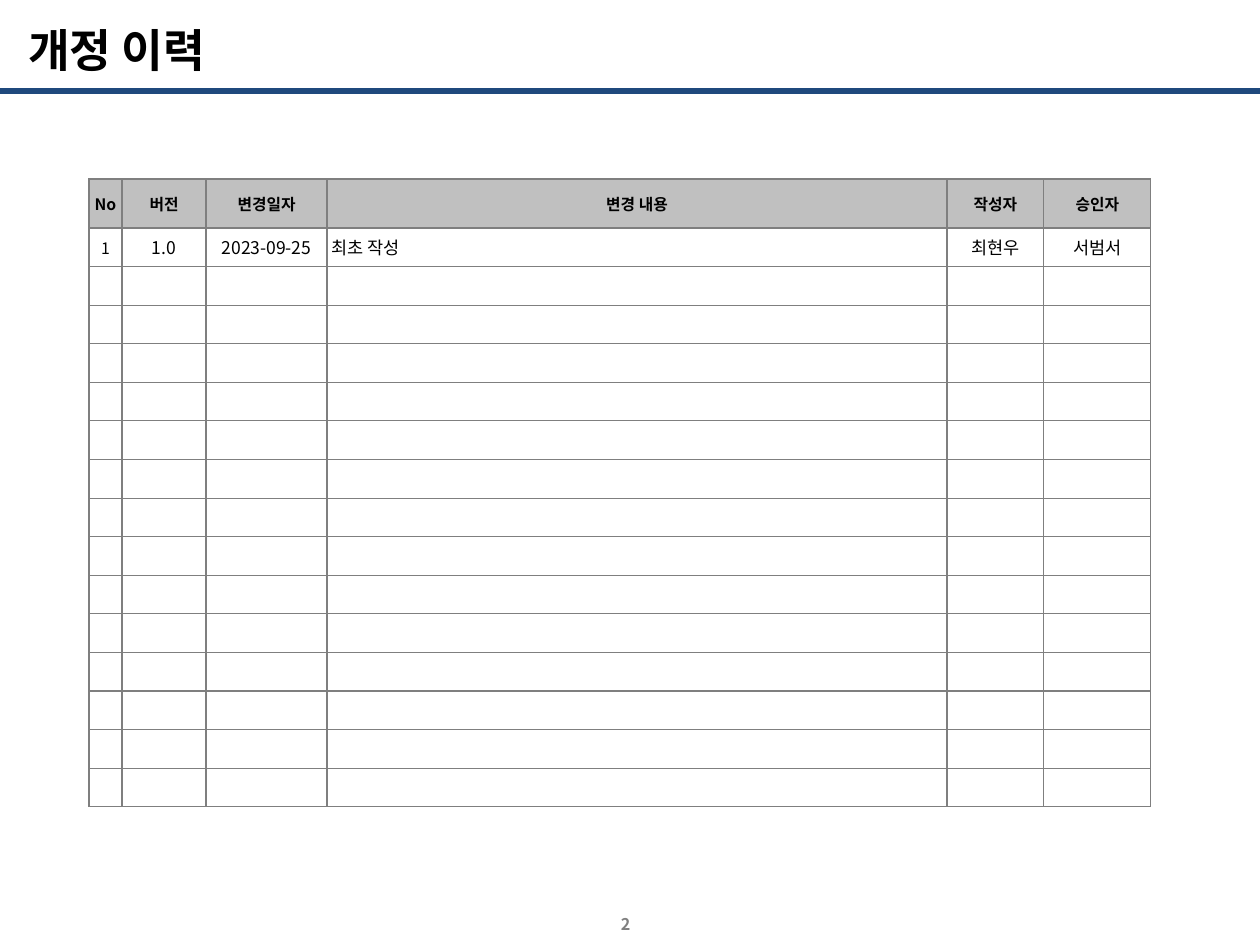
from dataclasses import dataclass

from lxml.etree import SubElement
from pptx import Presentation
from pptx.dml.color import RGBColor
from pptx.enum.text import MSO_ANCHOR as ANCHOR, MSO_AUTO_SIZE as AUTO, PP_ALIGN as ALIGN
from pptx.oxml.ns import qn
from pptx.util import Emu, Pt

TITLE = "개정 이력"
PAGE_NUMBER = "2"
HEADINGS = ["No", "버전", "변경일자", "변경 내용", "작성자", "승인자"]
REVISIONS = [["1", "1.0", "2023-09-25", "최초 작성", "최현우", "서범서"]]
REVISION_ROWS = 15
NUMBER_COLUMN, CHANGE_COLUMN = 0, 3

COLUMN_WIDTHS = [33, 84, 121, 620, 97, 107]
TABLE_LEFT, TABLE_TOP, TABLE_HEIGHT, HEADING_HEIGHT = 89, 179, 628, 49
SLIDE_WIDTH, SLIDE_HEIGHT = 1260, 945
RULE_TOP = 91
CELL_MARGIN = 5


@dataclass(frozen=True)
class Theme:
    font: str = "Noto Sans CJK KR"
    ink: str = "000000"
    rule: str = "1F497D"
    muted: str = "808080"
    heading_fill: str = "C0C0C0"
    border: str = "7F7F7F"
    title_size: float = 25.9
    heading_size: float = 9
    body_size: float = 10
    page_size: float = 9.2
    rule_width: float = 3
    border_width: float = 0.75


THEME = Theme()


def px(length):
    return Emu(round(length * 914400 / 126))


def write(frame, text, *, size, color=THEME.ink, bold=False, align=ALIGN.LEFT, spacing=None):
    paragraph = frame.paragraphs[0]
    paragraph.alignment = align
    if spacing:
        paragraph.line_spacing = spacing
    run = paragraph.add_run()
    run.text = text
    font = run.font
    font.name, font.size, font.bold = THEME.font, Pt(size), bold
    font.color.rgb = RGBColor.from_string(color)
    SubElement(font._element, qn("a:ea"), typeface=THEME.font)


def set_margins(target, margin_x, margin_y):
    target.margin_left = target.margin_right = px(margin_x)
    target.margin_top = target.margin_bottom = px(margin_y)


def add_borders(cell):
    properties = cell._tc.get_or_add_tcPr()
    for position, side in enumerate(("lnL", "lnR", "lnT", "lnB")):
        line = SubElement(properties, qn(f"a:{side}"), w=str(Pt(THEME.border_width)))
        fill = SubElement(line, qn("a:solidFill"))
        SubElement(fill, qn("a:srgbClr"), val=THEME.border)
        properties.insert(position, line)


def add_title(slide):
    title = slide.shapes.title
    title.left, title.top, title.width, title.height = px(16), px(23), px(541), px(60)
    frame = title.text_frame
    frame.auto_size, frame.vertical_anchor = AUTO.NONE, ANCHOR.MIDDLE
    frame.word_wrap = True
    set_margins(frame, 12, 6)
    write(frame, TITLE, size=THEME.title_size, bold=True, spacing=0.9)


def add_rule(slide):
    rule = slide.shapes.add_connector(1, px(SLIDE_WIDTH), px(RULE_TOP), 0, px(RULE_TOP))
    rule.line.color.rgb = RGBColor.from_string(THEME.rule)
    rule.line.width = Pt(THEME.rule_width)
    SubElement(rule._element.spPr, qn("a:effectLst"))


def add_page_number(slide):
    frame = slide.shapes.add_textbox(px(621), px(914), px(39), px(20)).text_frame
    frame.word_wrap = True
    set_margins(frame, 0, 0)
    write(frame, PAGE_NUMBER, size=THEME.page_size, color=THEME.muted, bold=True,
          spacing=Pt(11.3))


def fill_cell(cell, text, row, column):
    heading = row == 0
    set_margins(cell, CELL_MARGIN, CELL_MARGIN)
    cell.vertical_anchor = ANCHOR.MIDDLE
    if heading:
        cell.fill.solid()
        cell.fill.fore_color.rgb = RGBColor.from_string(THEME.heading_fill)
    else:
        cell.fill.background()
    add_borders(cell)
    small = heading or column == NUMBER_COLUMN
    size = THEME.heading_size if small else THEME.body_size
    if text:
        left = column == CHANGE_COLUMN and not heading
        write(cell.text_frame, text, size=size, bold=heading,
              align=ALIGN.LEFT if left else ALIGN.CENTER)
    else:
        # An empty cell keeps its row low only with a small end-of-paragraph size.
        SubElement(cell.text_frame.paragraphs[0]._p, qn("a:endParaRPr"), sz=str(size * 100))


def add_history(slide):
    blank = [""] * len(HEADINGS)
    rows = [HEADINGS, *REVISIONS, *[blank] * (REVISION_ROWS - len(REVISIONS))]
    table = slide.shapes.add_table(
        len(rows), len(HEADINGS), px(TABLE_LEFT), px(TABLE_TOP),
        px(sum(COLUMN_WIDTHS)), px(TABLE_HEIGHT)).table
    table.horz_banding = False
    for column, width in zip(table.columns, COLUMN_WIDTHS):
        column.width = px(width)
    row_height = (TABLE_HEIGHT - HEADING_HEIGHT) / REVISION_ROWS
    for row, texts in enumerate(rows):
        table.rows[row].height = px(row_height if row else HEADING_HEIGHT)
        for column, text in enumerate(texts):
            fill_cell(table.cell(row, column), text, row, column)


def main():
    deck = Presentation()
    deck.slide_width, deck.slide_height = px(SLIDE_WIDTH), px(SLIDE_HEIGHT)
    slide = deck.slides.add_slide(deck.slide_layouts[5])
    add_rule(slide)
    add_page_number(slide)
    add_title(slide)
    add_history(slide)
    deck.save("out.pptx")


if __name__ == "__main__":
    main()
